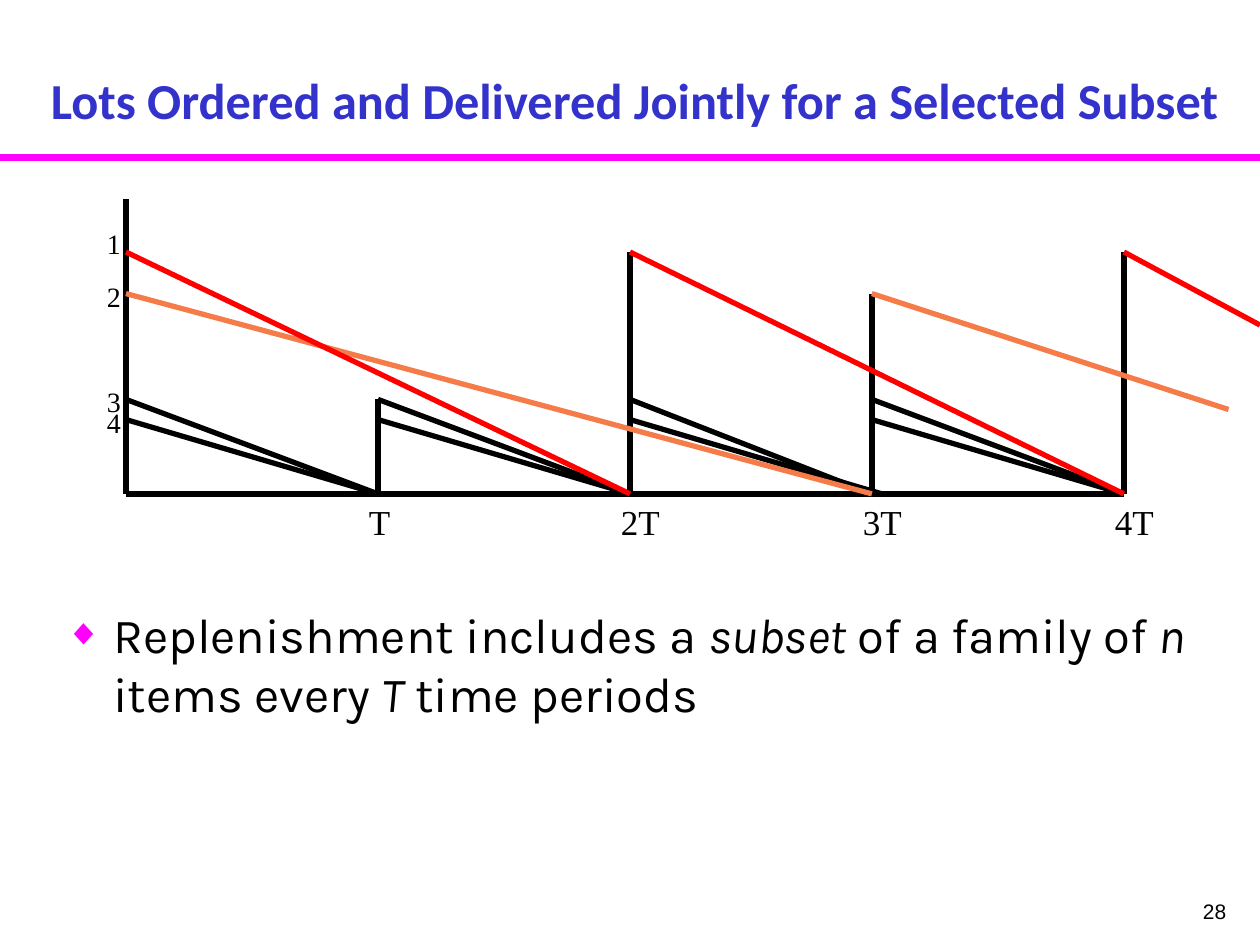
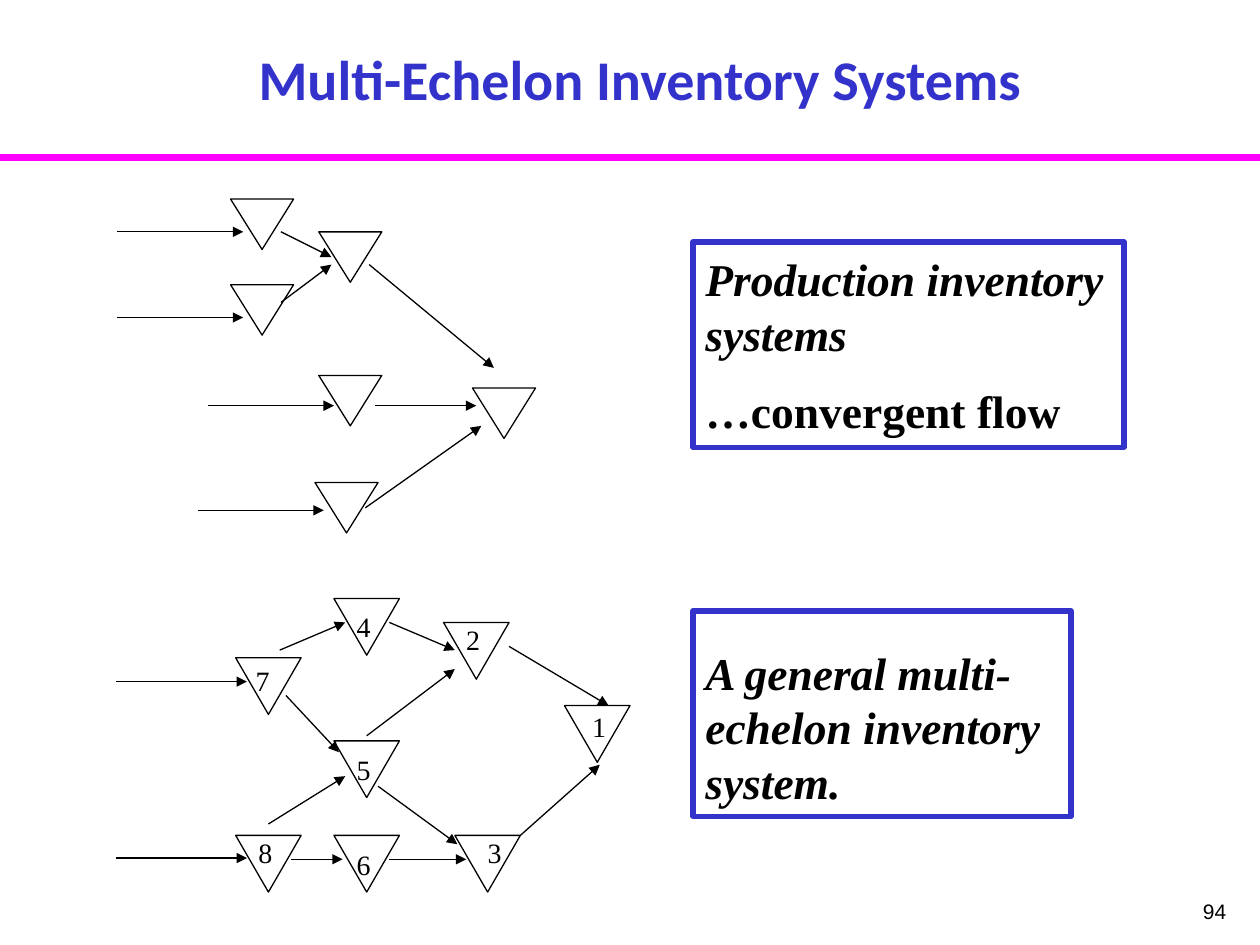
"""Builds two inventory slides: joint replenishment and multi-echelon systems."""
from dataclasses import dataclass

from lxml import etree
from pptx import Presentation
from pptx.dml.color import RGBColor
from pptx.enum.shapes import MSO_CONNECTOR, MSO_SHAPE
from pptx.enum.text import MSO_ANCHOR as Anchor, MSO_AUTO_SIZE as AutoSize, PP_ALIGN as Align
from pptx.oxml.ns import qn
from pptx.util import Inches, Pt


@dataclass(frozen=True)
class Theme:
    ink: str = "000000"
    paper: str = "FFFFFF"
    blue: str = "3333CC"
    magenta: str = "FF00FF"
    orange: str = "F57B49"
    red: str = "FF0000"
    heading: str = "Calibri"
    body: str = "Karla"
    diagram: str = "Times New Roman"
    footer: str = "Arial"
    long_title_size: float = 28.8
    title_size: float = 32
    body_size: float = 28
    callout_size: float = 26
    tick_size: float = 20
    label_size: float = 16
    footer_size: float = 12
    band: float = 4
    bold_line: float = 3
    thin_line: float = 0.75


THEME = Theme()
SLIDE_SIZE = (10, 7.5)

LOTS_TITLE = "Lots Ordered and Delivered Jointly for a Selected Subset"
LOTS_BULLET = [("Replenishment includes a ", False), ("subset", True), (" of a family of ", False),
               ("n", True), (" items every ", False), ("T", True), (" time periods", False)]
BASELINE = 3.92
AXIS_TOP = 1.58
ORDER_TIMES = [1, 3, 5, 6.92, 8.92]
TICKS = ["T", "2T", "3T", "4T"]
STOCK_LEVEL = {1: 2, 2: 2.33, 3: 3.17, 4: 3.33}
LABEL_TOP = {1: 1.75, 2: 2.17, 3: 3, 4: 3.17}
HIGHEST_ITEM = [3, 1, 2, 1]
DEPLETION = [
    (4, THEME.ink, [(1, 3), (3, 5), (5, 7), (6.92, 8.92)]),
    (3, THEME.ink, [(1, 3), (3, 5), (5, 6.92), (6.92, 8.92)]),
    (2, THEME.orange, [(1, 6.92)]),
    (1, THEME.red, [(1, 5), (5, 8.92)]),
]
UNFINISHED = [(2, THEME.orange, 6.92, (9.75, 3.25)), (1, THEME.red, 8.92, (10, 2.58))]

ECHELON_TITLE = "Multi-Echelon Inventory Systems"
CONVERGENT_SIZE = (0.5, 0.4)
CONVERGENT_STOCKS = [(1.83, 1.58), (1.83, 2.26), (2.53, 2.98), (2.5, 3.83),
                     (2.53, 1.84), (3.75, 3.08)]
CONVERGENT_FLOWS = [
    (0.93, 1.84, 1.93, 1.84), (0.93, 2.52, 1.93, 2.52), (1.65, 3.22, 2.65, 3.22),
    (1.57, 4.05, 2.57, 4.05), (2.23, 2.4, 2.63, 2.1), (2.23, 1.84, 2.63, 2.04),
    (2.98, 3.22, 3.78, 3.22), (2.93, 2.1, 3.92, 2.92), (2.9, 4.03, 3.82, 3.38),
]
GENERAL_SIZE = (0.52, 0.45)
GENERAL_STOCKS = {
    "1": ((4.48, 5.6), (4.7, 5.63)),
    "2": ((3.52, 4.94), (3.7, 4.94)),
    "3": ((3.61, 6.63), (3.87, 6.63)),
    "4": ((2.65, 4.75), (2.83, 4.84)),
    "5": ((2.65, 5.88), (2.83, 5.97)),
    "6": ((2.65, 6.63), (2.83, 6.73)),
    "7": ((1.87, 5.22), (2.03, 5.27)),
    "8": ((1.87, 6.63), (2.05, 6.63)),
}
GENERAL_FLOWS = [
    (0.92, 5.41, 1.96, 5.41), (0.92, 6.81, 1.96, 6.81), (2.22, 5.16, 2.74, 4.94),
    (2.27, 5.52, 2.69, 5.97), (2.13, 6.54, 2.74, 6.16), (2.31, 6.82, 2.72, 6.82),
    (2.91, 5.84, 3.61, 5.31), (3.09, 4.94, 3.61, 5.16), (3, 6.24, 3.63, 6.7),
    (3.09, 6.82, 3.7, 6.82), (4.04, 5.13, 4.83, 5.6), (4.13, 6.63, 4.76, 6.07),
]
CALLOUTS = [
    ((5.5, 1.92, 3.42, 1.63), 0.05,
     [("Production inventory systems", True), ("…convergent flow", False)]),
    ((5.5, 4.85, 3, 1.63), 0.25, [("A general multi-echelon inventory system.", True)]),
]


def rgb(color):
    return RGBColor.from_string(color)


def style(font, name, size, color=THEME.ink, bold=False, italic=False):
    font.name, font.size, font.bold, font.italic = name, Pt(size), bold, italic
    font.color.rgb = rgb(color)


def place(shape, left, top, width, height):
    shape.left, shape.top = Inches(left), Inches(top)
    shape.width, shape.height = Inches(width), Inches(height)


def set_insets(frame, side, end):
    frame.margin_left = frame.margin_right = Inches(side)
    frame.margin_top = frame.margin_bottom = Inches(end)


def add_line(page, start, end, color=THEME.ink, weight=THEME.bold_line, arrow=False):
    line = page.shapes.add_connector(MSO_CONNECTOR.STRAIGHT, *map(Inches, (*start, *end)))
    line.line.color.rgb = rgb(color)
    line.line.width = Pt(weight)
    properties = line._element.spPr
    if arrow:
        etree.SubElement(properties.find(qn("a:ln")), qn("a:tailEnd"), type="triangle")
    etree.SubElement(properties, qn("a:effectLst"))


def add_label(page, text, bounds, size, name=THEME.diagram, align=Align.LEFT, insets=(0.1, 0.05)):
    box = page.shapes.add_textbox(*map(Inches, bounds))
    frame = box.text_frame
    frame.word_wrap = False
    set_insets(frame, *insets)
    frame.text = text
    para = frame.paragraphs[0]
    para.alignment = align
    style(para.runs[0].font, name, size)
    return box


def start_page(deck, layout, title, bounds, size, number):
    page = deck.slides.add_slide(deck.slide_layouts[layout])
    add_line(page, (0, 1.25), (SLIDE_SIZE[0], 1.25), THEME.magenta, THEME.band)
    place(page.shapes.title, *bounds)
    frame = page.shapes.title.text_frame
    frame.text = title
    frame.word_wrap, frame.auto_size = True, AutoSize.NONE
    frame.vertical_anchor = Anchor.BOTTOM
    set_insets(frame, 0.1, 0.05)
    frame.paragraphs[0].alignment = Align.CENTER
    style(frame.paragraphs[0].runs[0].font, THEME.heading, size, THEME.blue, bold=True)
    footer = add_label(page, number, (7.75, 7.08, 2.08, 0.42), THEME.footer_size,
                       THEME.footer, Align.RIGHT)
    footer.text_frame.word_wrap = True
    return page


def add_diamond_bullet(para):
    properties = para._p.get_or_add_pPr()
    properties.set("marL", str(Inches(0.38)))
    properties.set("indent", str(-Inches(0.38)))
    color = etree.SubElement(properties, qn("a:buClr"))
    etree.SubElement(color, qn("a:srgbClr"), val=THEME.magenta)
    etree.SubElement(properties, qn("a:buSzPct"), val="75000")
    etree.SubElement(properties, qn("a:buFont"), typeface=THEME.footer)
    etree.SubElement(properties, qn("a:buChar"), char="◆")


def fill_body(page):
    body = page.placeholders[1]
    place(body, 0.42, 4.75, 9.42, 2.5)
    frame = body.text_frame
    frame.word_wrap, frame.auto_size = True, AutoSize.NONE
    set_insets(frame, 0.1, 0.05)
    para = frame.paragraphs[0]
    add_diamond_bullet(para)
    para.space_before = Pt(0)
    for text, italic in LOTS_BULLET:
        span = para.add_run()
        span.text = text
        style(span.font, THEME.body, THEME.body_size, italic=italic)


def build_lots(deck):
    page = start_page(deck, 1, LOTS_TITLE, (0.25, 0.33, 9.58, 0.75), THEME.long_title_size, "28")
    fill_body(page)
    origin, *deliveries = ORDER_TIMES
    add_line(page, (origin, AXIS_TOP), (origin, BASELINE))
    add_line(page, (origin, BASELINE), (deliveries[-1], BASELINE))
    for time, item, tick in zip(deliveries, HIGHEST_ITEM, TICKS):
        add_line(page, (time, BASELINE), (time, STOCK_LEVEL[item]))
        add_label(page, tick, (time - 0.17, BASELINE, 0.51, 0.43), THEME.tick_size)
    for item, color, cycles in DEPLETION:
        for start, end in cycles:
            add_line(page, (start, STOCK_LEVEL[item]), (end, BASELINE), color)
    for item, color, start, end in UNFINISHED:
        add_line(page, (start, STOCK_LEVEL[item]), end, color)
    for item, top in LABEL_TOP.items():
        add_label(page, str(item), (0.75, top, 0.31, 0.37), THEME.label_size)


def add_network(page, stocks, size, flows):
    for corner in stocks:
        stock = page.shapes.add_shape(MSO_SHAPE.ISOSCELES_TRIANGLE, *map(Inches, (*corner, *size)))
        stock.rotation = 180
        stock.shadow.inherit = False
        stock.fill.solid()
        stock.fill.fore_color.rgb = rgb(THEME.paper)
        stock.line.color.rgb = rgb(THEME.ink)
        stock.line.width = Pt(THEME.thin_line)
    for flow in flows:
        add_line(page, flow[:2], flow[2:], weight=THEME.thin_line, arrow=True)


def add_callout(page, bounds, top_inset, lines):
    box = page.shapes.add_shape(MSO_SHAPE.RECTANGLE, *map(Inches, bounds))
    box.shadow.inherit = False
    box.fill.background()
    box.line.color.rgb = rgb(THEME.blue)
    box.line.width = Pt(THEME.bold_line)
    frame = box.text_frame
    frame.word_wrap = True
    frame.vertical_anchor = Anchor.MIDDLE
    set_insets(frame, 0.1, 0.05)
    frame.margin_top = Inches(top_inset)
    frame.text = "\n".join(text for text, _ in lines)
    for index, (para, (_, italic)) in enumerate(zip(frame.paragraphs, lines)):
        para.alignment = Align.LEFT
        para.space_before = Pt(13 if index else 0)
        style(para.runs[0].font, THEME.diagram, THEME.callout_size, bold=True, italic=italic)


def build_echelons(deck):
    page = start_page(deck, 5, ECHELON_TITLE, (0.67, 0.44, 8.82, 0.5), THEME.title_size, "94")
    add_network(page, CONVERGENT_STOCKS, CONVERGENT_SIZE, CONVERGENT_FLOWS)
    corners = [corner for corner, _ in GENERAL_STOCKS.values()]
    add_network(page, corners, GENERAL_SIZE, GENERAL_FLOWS)
    for number, (_, corner) in GENERAL_STOCKS.items():
        add_label(page, number, (*corner, 0.1, 0.34), THEME.label_size, insets=(0, 0))
    for callout in CALLOUTS:
        add_callout(page, *callout)


def main():
    deck = Presentation()
    deck.slide_width, deck.slide_height = map(Inches, SLIDE_SIZE)
    build_lots(deck)
    build_echelons(deck)
    deck.save("out.pptx")


if __name__ == "__main__":
    main()
